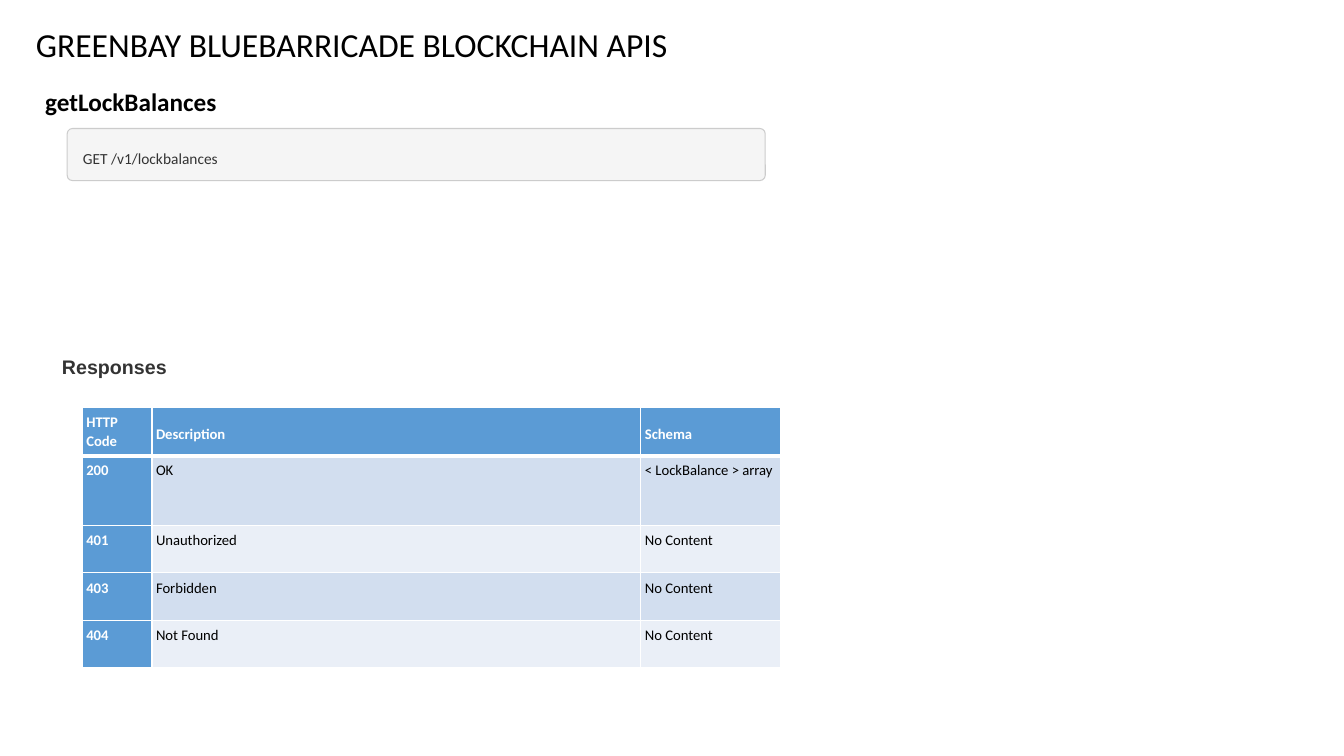
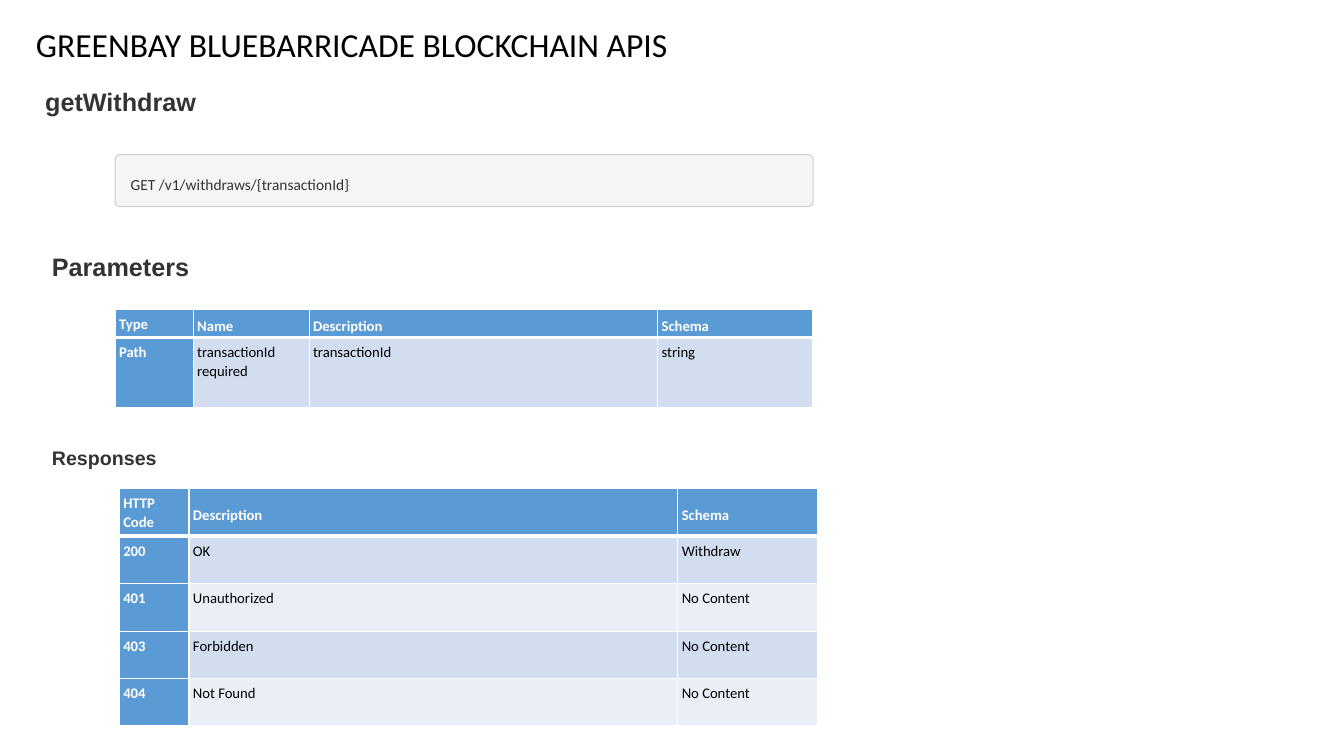
from dataclasses import dataclass
from lxml.etree import SubElement
from pptx import Presentation
from pptx.dml.color import RGBColor
from pptx.enum.shapes import MSO_SHAPE
from pptx.enum.text import MSO_ANCHOR
from pptx.oxml.ns import qn
from pptx.util import Inches, Pt


@dataclass(frozen=True)
class Theme:
    black: str = "000000"
    white: str = "FFFFFF"
    gray: str = "333333"
    bar_fill: str = "F5F5F5"
    bar_line: str = "CCCCCC"
    accent: str = "5B9BD5"
    bands: tuple = ("D2DEEF", "EAEFF7")
    body_font: str = "Calibri"
    heading_font: str = "Arial"
    title_size: float = 24
    heading_size: float = 18
    subheading_size: float = 14
    request_size: float = 11
    table_size: float = 10.5
    line_spacing: float = 1.07


theme = Theme()
presentation = Presentation()
presentation.slide_width = Inches(13.33)
presentation.slide_height = Inches(7.5)

# The slide is a grid of 160 columns by 90 rows
COLUMN = presentation.slide_width / 160
ROW = presentation.slide_height / 90
CONTENT_WIDTH = 83.1
HEADING_LEFT = 4.2
RESPONSE_COLUMNS = [8.3, 58.2, 16.6]
PARAMETER_COLUMNS = [9.3, 13.8, 41.5, 18.5]
HEADER_ROW, BODY_ROW, TALL_ROW = 5.75, 5.65, 8.3


def write(text_frame, text, size, color, bold=False, font=theme.body_font, spacing=None):
    text_frame.text = text
    paragraph = text_frame.paragraphs[0]
    paragraph.line_spacing = spacing
    style = paragraph.runs[0].font
    style.name, style.size, style.bold = font, Pt(size), bold
    style.color.rgb = RGBColor.from_string(color)


def place(left, top, width, height):
    return [round(length) for length in (left * COLUMN, top * ROW, width * COLUMN, height * ROW)]


# Content: headings are (text, left, top, size, color, font, line spacing)
# and tables are (left, top, column widths, row heights, rows)
response_header = ["HTTP Code", "Description", "Schema"]
error_rows = [
    ["401", "Unauthorized", "No Content"],
    ["403", "Forbidden", "No Content"],
    ["404", "Not Found", "No Content"],
]
pages = [
    {
        "headings": [
            ("getLockBalances", HEADING_LEFT, 9.7, theme.heading_size, theme.black,
             theme.body_font, None),
            ("Responses", 6.2, 41.5, theme.subheading_size, theme.gray,
             theme.heading_font, theme.line_spacing),
        ],
        "request": ("GET /v1/lockbalances", 8, 15.3),
        "tables": [
            (9.8, 48.5, RESPONSE_COLUMNS, [HEADER_ROW, TALL_ROW] + [BODY_ROW] * 3,
             [response_header, ["200", "OK", "< LockBalance > array"], *error_rows]),
        ],
    },
    {
        "headings": [
            ("getWithdraw", HEADING_LEFT, 9.7, theme.heading_size, theme.gray,
             theme.heading_font, None),
            ("Parameters", 5, 29.3, theme.heading_size, theme.gray,
             theme.heading_font, None),
            ("Responses", 5, 52.3, theme.subheading_size, theme.gray,
             theme.heading_font, theme.line_spacing),
        ],
        "request": ("GET /v1/withdraws/{transactionId}", 13.7, 18.4),
        "tables": [
            (13.7, 36.8, PARAMETER_COLUMNS, [3.4, TALL_ROW],
             [["Type", "Name", "Description", "Schema"],
              ["Path", "transactionId required", "transactionId", "string"]]),
            (14.2, 58.1, RESPONSE_COLUMNS, [HEADER_ROW] + [BODY_ROW] * 4,
             [response_header, ["200", "OK", "Withdraw"], *error_rows]),
        ],
    },
]

for page in pages:
    slide = presentation.slides.add_slide(presentation.slide_layouts[6])

    # Title
    title = slide.shapes.add_textbox(*place(3.1, 2.2, 78.2, 6))
    title.text_frame.word_wrap = False
    write(title.text_frame, "GREENBAY BLUEBARRICADE BLOCKCHAIN APIS", theme.title_size, theme.black)

    # Section headings
    for text, left, top, size, color, font, spacing in page["headings"]:
        heading = slide.shapes.add_textbox(*place(left, top, 36, 4.8))
        heading.text_frame.word_wrap = True
        write(heading.text_frame, text, size, color, True, font, spacing)

    # Request bar
    text, left, top = page["request"]
    bar = slide.shapes.add_shape(MSO_SHAPE.ROUNDED_RECTANGLE, *place(left, top, CONTENT_WIDTH, 6.2))
    bar.adjustments[0] = 0.1
    bar.shadow.inherit = False
    bar.fill.solid()
    bar.fill.fore_color.rgb = RGBColor.from_string(theme.bar_fill)
    bar.line.color.rgb = RGBColor.from_string(theme.bar_line)
    bar.line.width = Pt(0.75)
    frame = bar.text_frame
    frame.vertical_anchor = MSO_ANCHOR.TOP
    frame.margin_left, frame.margin_top, frame.margin_bottom = Inches(0.14), Inches(0.18), 0
    write(frame, text, theme.request_size, theme.gray, spacing=theme.line_spacing)
    frame.paragraphs[0].alignment = 1

    # Tables
    for left, top, widths, heights, rows in page["tables"]:
        area = place(left, top, sum(widths), sum(heights))
        table = slide.shapes.add_table(len(rows), len(widths), *area).table
        for column, width in zip(table.columns, widths):
            column.width = round(width * COLUMN)
        for row, height in zip(table.rows, heights):
            row.height = round(height * ROW)

        for row_index, row in enumerate(rows):
            for column_index, text in enumerate(row):
                cell = table.cell(row_index, column_index)
                is_header = row_index == 0
                is_accent = is_header or column_index == 0
                cell.margin_left = cell.margin_right = Inches(0.04)
                cell.margin_top, cell.margin_bottom = Inches(0.05), 0
                centered = is_header and column_index > 0
                cell.vertical_anchor = MSO_ANCHOR.MIDDLE if centered else MSO_ANCHOR.TOP
                write(cell.text_frame, text, theme.table_size,
                      theme.white if is_accent else theme.black,
                      is_accent, spacing=theme.line_spacing)

                # White borders, thicker below the header
                properties = cell._tc.get_or_add_tcPr()
                for side in ("lnL", "lnR", "lnT", "lnB"):
                    points = 3 if is_header and side == "lnB" else 1
                    border = SubElement(properties, qn(f"a:{side}"), w=str(Pt(points)))
                    border_fill = SubElement(border, qn("a:solidFill"))
                    SubElement(border_fill, qn("a:srgbClr"), val=theme.white)

                fill = theme.accent if is_accent else theme.bands[(row_index - 1) % 2]
                cell.fill.solid()
                cell.fill.fore_color.rgb = RGBColor.from_string(fill)

presentation.save("out.pptx")
